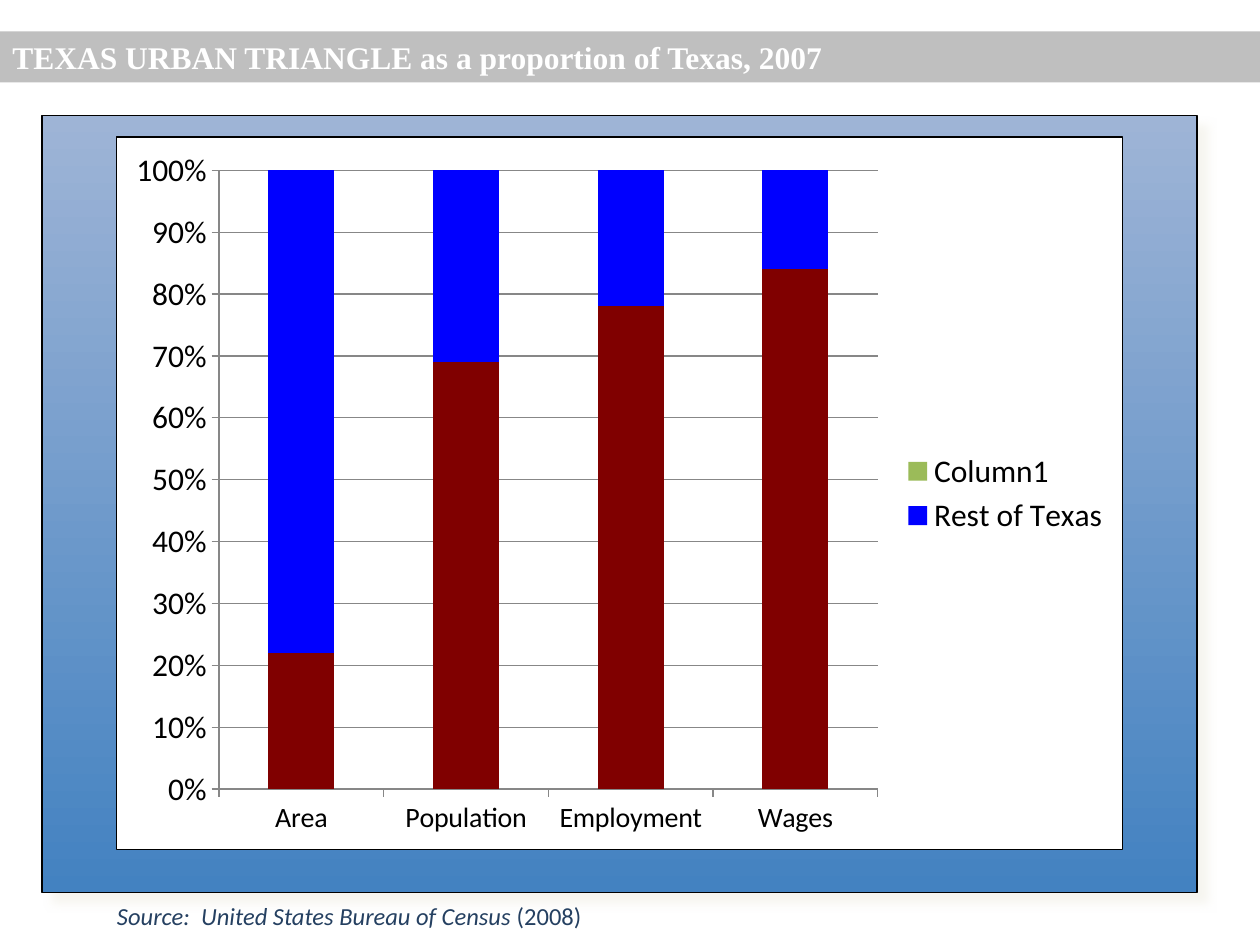
from lxml import etree
from pptx import Presentation, util as u
from pptx.chart import data
from pptx.dml import color
from pptx.enum import chart as charts, shapes, text
from pptx.oxml import parse_xml
from pptx.oxml.ns import nsdecls, qn

WIDTH, HEIGHT = u.Inches(10), u.Inches(7.5)


def rgb(value):
    return color.RGBColor.from_string(value)


def area(left, top, width, height):
    return [int(share * side / 100) for share, side in
            zip((left, top, width, height), (WIDTH, HEIGHT, WIDTH, HEIGHT))]


presentation = Presentation()
presentation.slide_width, presentation.slide_height = WIDTH, HEIGHT
slide = presentation.slides.add_slide(presentation.slide_layouts[6])

panel = slide.shapes.add_shape(shapes.MSO_SHAPE.RECTANGLE, *area(3.33, 12.22, 91.67, 82.22))
panel.fill.gradient()
panel.fill.gradient_angle = 270
for stop, position, value in zip(panel.fill.gradient_stops, (0, 1), ("9EB4D6", "4382C1")):
    stop.position = position
    stop.color.rgb = rgb(value)
panel.line.color.rgb = rgb("000000")
panel.line.width = u.Pt(0.75)
panel._element.spPr.append(parse_xml(
    f'<a:effectLst {nsdecls("a")}><a:outerShdw blurRad="{u.Pt(5)}" dist="{u.Pt(8.5)}" '
    'dir="2700000" algn="tl" rotWithShape="0"><a:srgbClr val="EEECE1">'
    '<a:alpha val="50000"/></a:srgbClr></a:outerShdw></a:effectLst>'))

banner = slide.shapes.add_shape(shapes.MSO_SHAPE.RECTANGLE, *area(0, 3.33, 100, 5.4))
banner.shadow.inherit = False
banner.line.fill.background()
banner.fill.solid()
banner.fill.fore_color.rgb = rgb("808080")
banner_color = banner._element.spPr.find(".//" + qn("a:srgbClr"))
etree.SubElement(banner_color, qn("a:alpha")).set("val", "50000")

source = slide.shapes.add_textbox(*area(8.3, 94.67, 47.5, 5.33))

title_format = {"name": "Times New Roman", "size": u.Pt(18), "bold": True}
source_format = {"name": "Calibri", "size": u.Pt(14), "italic": True}
for shape, value, runs in (
    (banner, "FFFFFF", [("TEXAS URBAN TRIANGLE as a proportion of Texas, 2007", title_format)]),
    (source, "254061", [("Source:  United States Bureau of Census ", source_format),
                        ("(2008)", source_format | {"italic": False})]),
):
    shape.text_frame.word_wrap = True
    paragraph = shape.text_frame.paragraphs[0]
    paragraph.alignment = text.PP_ALIGN.LEFT
    for words, formats in runs:
        run = paragraph.add_run()
        run.text = words
        run.font.color.rgb = rgb(value)
        for name, setting in formats.items():
            setattr(run.font, name, setting)

series_table = [
    ("Series 1", (22, 69, 78, 84), "800000"),
    ("Rest of Texas", (78, 31, 22, 16), "0000FF"),
    ("Column1", (0, 0, 0, 0), "9BBB59"),
]
chart_data = data.CategoryChartData()
chart_data.categories = ["Area", "Population", "Employment", "Wages"]
for name, values, _ in series_table:
    chart_data.add_series(name, values)
chart = slide.shapes.add_chart(charts.XL_CHART_TYPE.COLUMN_STACKED_100,
                               *area(9.17, 14.44, 80, 75.56), chart_data).chart
chart.has_title = False
chart.font.name = "Calibri"
chart.font.size = u.Pt(18)
chart.font.color.rgb = rgb("000000")

plot = chart.plots[0]
plot.vary_by_categories = False
plot.gap_width, plot.overlap = 150, 100
for series, (_, _, value) in zip(plot.series, series_table):
    series.format.fill.solid()
    series.format.fill.fore_color.rgb = rgb(value)

for axis, size in ((chart.category_axis, 16), (chart.value_axis, 18)):
    axis.tick_labels.font.size = u.Pt(size)
    axis.major_tick_mark = charts.XL_TICK_MARK.OUTSIDE
    axis.format.line.color.rgb = rgb("878787")
chart.value_axis.tick_labels.number_format = "0%"
chart.value_axis.tick_labels.number_format_is_linked = False
chart.value_axis.major_unit = 0.1
chart.value_axis.has_major_gridlines = True
chart.value_axis.major_gridlines.format.line.color.rgb = rgb("878787")

chart.has_legend = True
chart.legend.position = charts.XL_LEGEND_POSITION.RIGHT
chart.legend.include_in_layout = False
chart.legend._element.find(qn("c:legendPos")).addnext(parse_xml(
    f'<c:legendEntry {nsdecls("c")}><c:idx val="0"/><c:delete val="1"/></c:legendEntry>'))

chart_space = chart._chartSpace
chart_space.find(qn("c:date1904")).addnext(
    parse_xml(f'<c:roundedCorners {nsdecls("c")} val="0"/>'))
chart_space.find(qn("c:chart")).addnext(parse_xml(
    f'<c:spPr {nsdecls("c", "a")}><a:solidFill><a:srgbClr val="FFFFFF"/></a:solidFill>'
    f'<a:ln w="{u.Pt(0.75)}"><a:solidFill><a:srgbClr val="000000"/></a:solidFill></a:ln></c:spPr>'))

presentation.save("out.pptx")
